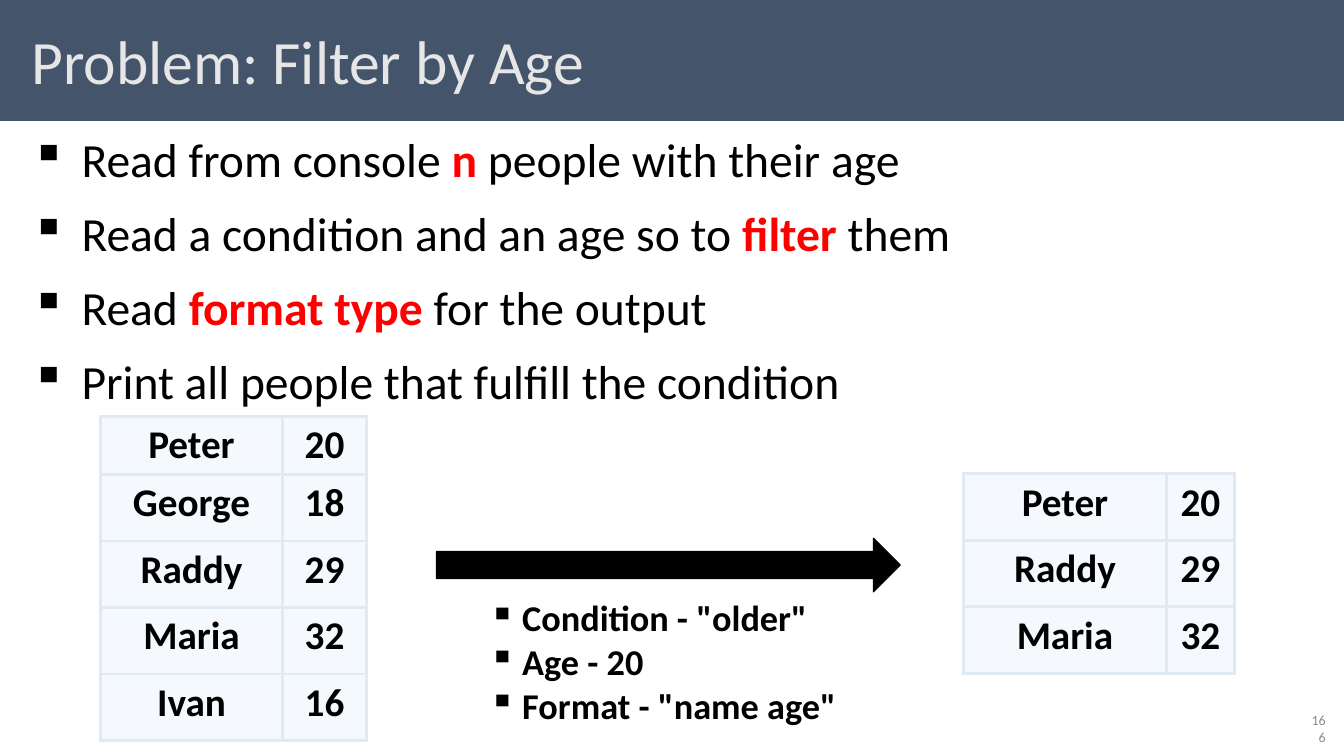
import dataclasses

import lxml.etree
import pptx
import pptx.dml.color
import pptx.enum.shapes
import pptx.enum.text
import pptx.oxml.ns
import pptx.util


@dataclasses.dataclass(frozen=True)
class Theme:
    font: str = "Calibri"
    band: str = "44546A"
    title: str = "E7E6E6"
    text: str = "000000"
    emphasis: str = "FF0000"
    table: str = "DEEBF7"
    muted: str = "8C8C8C"
    title_size: float = 44
    body_size: float = 34
    table_size: float = 28
    condition_size: float = 25.9
    number_size: float = 10


THEME = Theme()
WIDTH = pptx.util.Inches(13.33)
HEIGHT = pptx.util.Inches(7.5)
CENTER = pptx.enum.text.PP_ALIGN.CENTER


def across(percent):
    return round(WIDTH * percent / 100)


def down(percent):
    return round(HEIGHT * percent / 100)


def box(left, top, width, height):
    return across(left), down(top), across(width), down(height)


def color(value):
    return pptx.dml.color.RGBColor.from_string(value)


def set_font(font, size, value, bold=False):
    font.name = THEME.font
    font.size = pptx.util.Pt(size)
    font.color.rgb = color(value)
    font.bold = bold


def add_element(parent, tag, **attributes):
    return lxml.etree.SubElement(parent, pptx.oxml.ns.qn(tag), **attributes)


def add_block(slide, kind, area, fill):
    shape = slide.shapes.add_shape(kind, *box(*area))
    shape.shadow.inherit = False
    shape.fill.solid()
    shape.fill.fore_color.rgb = color(fill)
    shape.line.fill.background()
    return shape


def add_header(slide, text):
    band = add_block(slide, pptx.enum.shapes.MSO_SHAPE.RECTANGLE, (0, 0, 100, 16), THEME.band)
    title = slide.shapes.title
    title.element.addprevious(band.element)
    title.left, title.top, title.width, title.height = box(1.58, 0.53, 78.53, 16.13)
    title.text_frame.vertical_anchor = pptx.enum.text.MSO_ANCHOR.MIDDLE
    title.text_frame.text = text
    paragraph = title.text_frame.paragraphs[0]
    paragraph.alignment = pptx.enum.text.PP_ALIGN.LEFT
    paragraph.line_spacing = 0.9
    set_font(paragraph.font, THEME.title_size, THEME.title)


def add_text_frame(slide, area):
    frame = slide.shapes.add_textbox(*box(*area)).text_frame
    frame.word_wrap = True
    return frame


def add_bullets(slide, area, items, size, indent, gap=0, bold=False):
    frame = add_text_frame(slide, area)
    for index, parts in enumerate(items):
        paragraph = frame.add_paragraph() if index else frame.paragraphs[0]
        properties = paragraph._p.get_or_add_pPr()
        hanging = pptx.util.Inches(indent)
        properties.set("marL", str(hanging))
        properties.set("indent", str(-hanging))
        add_element(properties, "a:buChar", char="▪")
        paragraph.space_before = pptx.util.Pt(gap if index else 0)
        paragraph.space_after = pptx.util.Pt(gap)
        set_font(paragraph.font, size, THEME.text, bold)
        for position, part in enumerate(parts):
            run = paragraph.add_run()
            run.text = part
            if position % 2:
                run.font.bold = True
                run.font.color.rgb = color(THEME.emphasis)
    return frame


def style_cell(cell):
    properties = cell._tc.get_or_add_tcPr()
    for side in ("a:lnL", "a:lnR", "a:lnT", "a:lnB"):
        line = add_element(properties, side, w=str(pptx.util.Pt(2.25)))
        add_element(add_element(line, "a:solidFill"), "a:srgbClr", val=THEME.table)
    fill = add_element(add_element(properties, "a:solidFill"), "a:srgbClr", val=THEME.table)
    add_element(fill, "a:alpha", val="30000")


def add_people_table(slide, left, top, columns, rows, people):
    area = box(left, top, sum(columns), sum(rows))
    table = slide.shapes.add_table(len(people), len(columns), *area).table
    table.first_row = False
    table.horz_banding = False
    for column, width in zip(table.columns, columns):
        column.width = across(width)
    for row, height, person in zip(table.rows, rows, people):
        row.height = down(height)
        for cell, value in zip(row.cells, person):
            cell.text = str(value)
            style_cell(cell)
            paragraph = cell.text_frame.paragraphs[0]
            paragraph.alignment = CENTER
            set_font(paragraph.font, THEME.table_size, THEME.text, True)


def add_slide_number(slide, number):
    frame = add_text_frame(slide, (96.38, 94.93, 3, 4.27))
    frame.vertical_anchor = pptx.enum.text.MSO_ANCHOR.BOTTOM
    frame.text = number
    paragraph = frame.paragraphs[0]
    paragraph.alignment = pptx.enum.text.PP_ALIGN.RIGHT
    set_font(paragraph.font, THEME.number_size, THEME.muted)


def main():
    presentation = pptx.Presentation()
    presentation.slide_width = WIDTH
    presentation.slide_height = HEIGHT
    slide = presentation.slides.add_slide(presentation.slide_layouts[5])

    add_header(slide, "Problem: Filter by Age")
    steps = [
        ("Read from console ", "n ", "people with their age"),
        ("Read a condition and an age so to ", "filter ", "them"),
        ("Read ", "format type ", "for the output"),
        ("Print all people that fulfill the condition",),
    ]
    add_bullets(slide, (1.58, 16.53, 96.83, 81.2), steps, THEME.body_size, 0.5, gap=6)

    people = [("Peter", 20), ("George", 18), ("Raddy", 29), ("Maria", 32), ("Ivan", 16)]
    older = [person for person in people if person[1] >= 20]
    add_people_table(slide, 7.5, 55.07, (13.5, 6.3), [7.7] + [8.8] * 4, people)

    conditions = [('Condition - "older"',), ("Age - 20",), ('Format - "name age"',)]
    frame = add_bullets(slide, (35.48, 78.27, 28.95, 19.33), conditions,
                        THEME.condition_size, 0.33, bold=True)
    frame.margin_left = frame.margin_right = pptx.util.Inches(0.12)
    frame.margin_top = frame.margin_bottom = pptx.util.Inches(0.04)

    add_people_table(slide, 71.7, 62.67, (15.08, 5.1), [8.8] * 3, older)
    arrow = add_block(slide, pptx.enum.shapes.MSO_SHAPE.RIGHT_ARROW,
                      (32.48, 71.2, 34.5, 7.07), THEME.text)
    arrow.line.color.rgb = color(THEME.text)
    arrow.line.width = pptx.util.Pt(1)
    add_slide_number(slide, "166")
    presentation.save("out.pptx")


if __name__ == "__main__":
    main()
